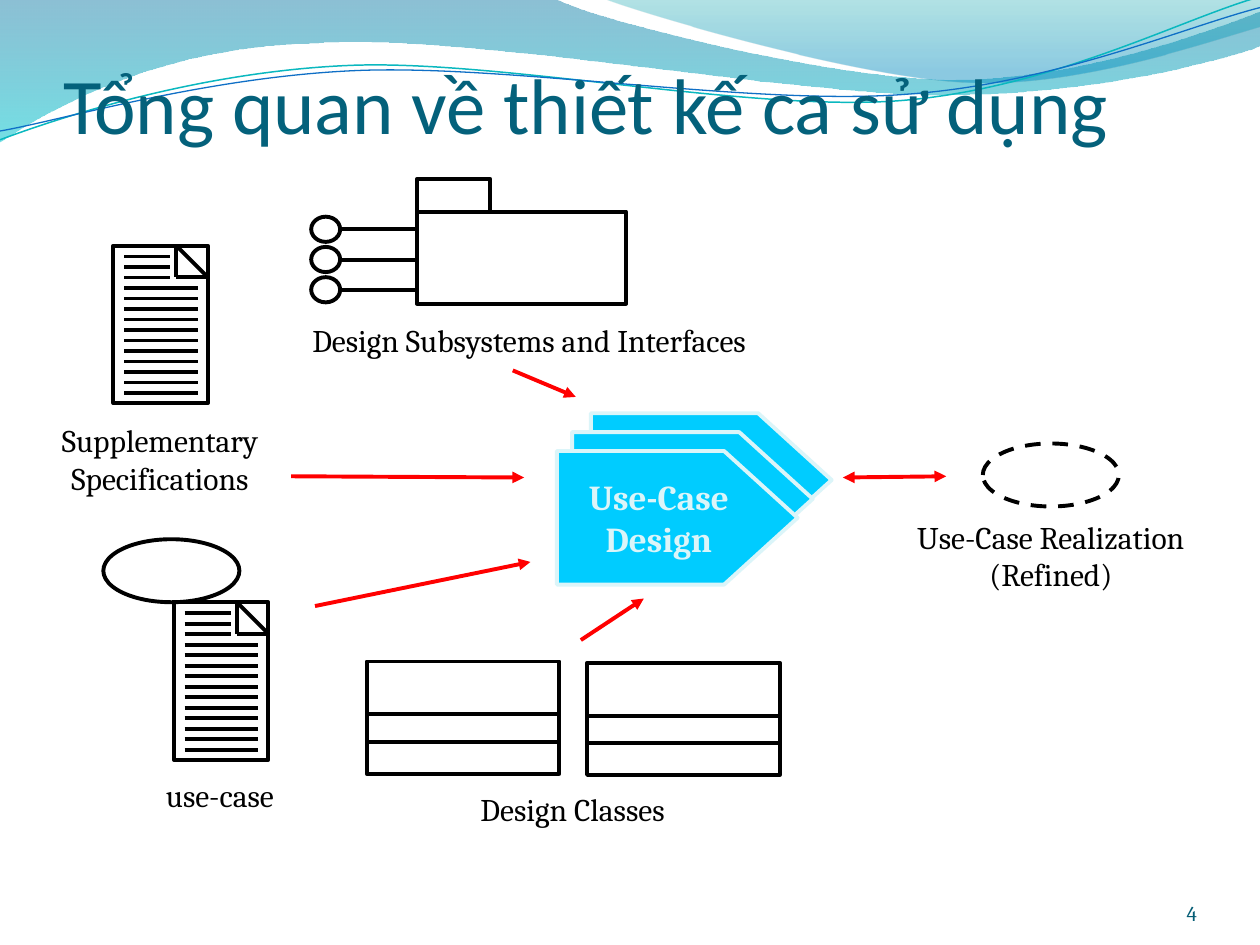
import math

import pptx
import pptx.dml.color
import pptx.enum.dml
import pptx.enum.shapes
import pptx.enum.text
import pptx.oxml
import pptx.oxml.ns
import pptx.util

PX = 9144
COLORS = {"ink": "000000", "title": "04617B", "number": "045D75", "arrow": "FF0000",
          "plate": "00CCFF", "pale": "DBF5F9", "teal": "0AB8BF", "blue": "0F6FC6",
          "deep": "0074A1", "aqua": "00C6CF", "sea": "00A1A9", "sky": "008BBF"}
SHAPE = pptx.enum.shapes.MSO_SHAPE
ALIGN = pptx.enum.text.PP_ALIGN
ANCHOR = pptx.enum.text.MSO_ANCHOR
QN = pptx.oxml.ns.qn
LABEL = {"name": "Cambria", "size": pptx.util.Pt(18)}
PLATE = {"name": "Cambria", "size": pptx.util.Pt(20), "bold": True}
NUMBER = {"name": "Cambria", "size": pptx.util.Pt(12)}
TITLE = {"name": "Calibri", "size": pptx.util.Pt(45), "bold": False}
TILT = 357.3

BANDS = [
    ((-1, -1, 1002, 114),
     [(0, 0), (440, -1), (476, 17, 664, 63, 758, 63), (853, 63, 958, 26, 1000, 9),
      (1001, 36), (983, 44, 870, 76, 746, 75), (622, 75, 382, 28, 257, 34),
      (129, 36, 46, 83, -1, 113), (0, 0)],
     [(0, "deep", 45), (1, "aqua", 55)]),
    ((479, -1, 521, 70),
     [(479, -1), (509, 11, 682, 62, 769, 65), (856, 69, 961, 32, 1000, 21), (1000, 0),
      (479, -1)],
     [(0, "sea", 30), (0.8, "sky", 45)]),
]
STRANDS = [
    ((-2, 22, 1002, 71),
     [(0, 111), (48, 93, 158, 57, 277, 52), (395, 47, 593, 89, 713, 80),
      (833, 71, 938, 15, 998, -2)], "teal", 0.85),
    ((-2, 30, 1003, 58),
     [(0, 104), (47, 96, 164, 61, 283, 56), (403, 51, 597, 84, 717, 75),
      (836, 67, 941, 21, 1000, 6)], "blue", 0.75),
]


def emu(*lengths):
    """Turn px lengths into EMU."""
    return [round(n * PX) for n in lengths]


def rgb(name):
    """Look up a named colour."""
    return pptx.dml.color.RGBColor.from_string(COLORS[name])


def set_line(shape, color="ink", width=2.25):
    """Give a shape or connector a plain outline."""
    shape.line.color.rgb = rgb(color)
    shape.line.width = pptx.util.Pt(width)


def to_local(x, y, box, rotation):
    """Return a slide point as EMU inside a rotated box."""
    left, top, width, height = box
    dx, dy = x - left - width / 2, y - top - height / 2
    a = math.radians(-rotation)
    return emu(dx * math.cos(a) - dy * math.sin(a) + width / 2,
               dx * math.sin(a) + dy * math.cos(a) + height / 2)


def add_wave(shapes, box, nodes, close, rotation=0):
    """Add an outline of straight (2 numbers) and cubic (6 numbers) segments."""
    builder = shapes.build_freeform(*emu(*nodes[0]), scale=1.0)
    builder.add_line_segments([emu(*node[-2:]) for node in nodes[1:]], close=close)
    sp = builder.convert_to_shape()
    sp.shadow.inherit = False
    sp.left, sp.top, sp.width, sp.height = emu(*box)
    sp.rotation = rotation
    outline = next(sp.element.iter(QN("a:path")))
    outline.set("w", str(sp.width))
    outline.set("h", str(sp.height))
    for step, node in zip(list(outline), nodes):
        if len(node) == 6:
            curve = outline.makeelement(QN("a:cubicBezTo"), {})
            outline.replace(step, curve)
            step = curve
        for pt in list(step):
            step.remove(pt)
        for i in range(0, len(node), 2):
            x, y = to_local(node[i], node[i + 1], box, rotation)
            step.append(step.makeelement(QN("a:pt"), {"x": str(x), "y": str(y)}))
    return sp


def add_band(shapes, box, nodes, stops):
    """Add a translucent gradient band."""
    sp = add_wave(shapes, box, nodes, True)
    sp.line.fill.background()
    sp.fill.gradient()
    sp.fill.gradient_angle = 270
    for stop, (position, color, opacity) in zip(sp.fill.gradient_stops, stops):
        stop.position = position
        stop.color.rgb = rgb(color)
    colors = list(sp.element.iter(QN("a:srgbClr")))
    for clr, (position, color, opacity) in zip(colors, stops):
        clr.append(clr.makeelement(QN("a:alpha"), {"val": str(opacity * 1000)}))


def add_strand(shapes, box, nodes, color, width):
    """Add a thin curved line."""
    sp = add_wave(shapes, box, nodes, False, TILT)
    sp.fill.background()
    set_line(sp, color, width)


def add_outline(shapes, kind, *box, fill=None, line="ink"):
    """Add an outlined preset shape."""
    sp = shapes.add_shape(kind, *emu(*box))
    sp.shadow.inherit = False
    set_line(sp, line)
    if fill:
        sp.fill.solid()
        sp.fill.fore_color.rgb = rgb(fill)
    else:
        sp.fill.background()
    return sp


def add_line(shapes, *ends, color="ink", arrows=()):
    """Add a straight line, with arrowheads at the named ends."""
    c = shapes.add_connector(pptx.enum.shapes.MSO_CONNECTOR.STRAIGHT, *emu(*ends))
    set_line(c, color)
    ln = next(c.element.iter(QN("a:ln")))
    for end in arrows:
        ln.append(ln.makeelement(QN(f"a:{end}"), {"type": "triangle"}))
    sp_pr = ln.getparent()
    sp_pr.append(sp_pr.makeelement(QN("a:effectLst"), {}))


def write(sp, lines, fmt, color, align=ALIGN.CENTER, anchor=ANCHOR.TOP, wrap=False):
    """Write one paragraph per line and format it."""
    tf = sp.text_frame
    tf.word_wrap = wrap
    tf.vertical_anchor = anchor
    for i, line in enumerate(lines):
        p = tf.add_paragraph() if i else tf.paragraphs[0]
        p.alignment = align
        r = p.add_run()
        r.text = line
        for key, value in fmt.items():
            setattr(r.font, key, value)
        r.font.color.rgb = rgb(color)


def set_margins(sp, **margins):
    """Set all four text margins in px, zero unless given."""
    for side in ("left", "top", "right", "bottom"):
        setattr(sp.text_frame, f"margin_{side}", margins.get(side, 0) * PX)


def add_label(shapes, box, *lines, wrap=False):
    """Add a centred caption."""
    sp = shapes.add_textbox(*emu(*box))
    write(sp, lines, LABEL, "ink", wrap=wrap)
    sp.text_frame.auto_size = pptx.enum.text.MSO_AUTO_SIZE.SHAPE_TO_FIT_TEXT


def add_document(shapes, x, y):
    """Add a page with a folded corner and lines of writing."""
    add_outline(shapes, SHAPE.RECTANGLE, x, y, 75, 125)
    for x1, y1, x2, y2 in ((50, 0, 75, 25), (50, 0, 50, 25), (75, 25, 50, 25)):
        add_line(shapes, x + x1, y + y1, x + x2, y + y2)
    for i in range(14):
        row = y + 8.6 + i * 25 / 3
        add_line(shapes, x + 8.5, row, x + (45 if i < 3 else 67), row)


def add_class(shapes, x, y):
    """Add a class box with three compartments."""
    add_outline(shapes, SHAPE.RECTANGLE, x, y, 153, 89)
    for dy in (64, 42):
        add_line(shapes, x, y + dy, x + 153, y + dy)


def add_subsystem(shapes):
    """Add a package with three interfaces."""
    add_outline(shapes, SHAPE.RECTANGLE, 331, 168, 166, 73)
    add_outline(shapes, SHAPE.RECTANGLE, 331, 142, 58, 26)
    for y in (196, 172, 220):
        add_outline(shapes, SHAPE.OVAL, 247, y, 23, 20)
        add_line(shapes, 270, y + 10, 331, y + 10)


def main():
    """Build the slide and save it."""
    prs = pptx.Presentation()
    prs.slide_width, prs.slide_height = emu(1000, 750)
    s = prs.slides.add_slide(prs.slide_layouts[5])
    shapes = s.shapes
    for band in BANDS:
        add_band(shapes, *band)
    strands = shapes.add_group_shape().shapes
    for strand in STRANDS:
        add_strand(strands, *strand)

    title = shapes.title
    title.left, title.top, title.width, title.height = emu(50, -6, 908, 125)
    set_margins(title, top=5)
    write(title, ["Tổng quan về thiết kế ca sử dụng"], TITLE, "title",
          ALIGN.LEFT, ANCHOR.BOTTOM, True)
    title.text_frame.auto_size = pptx.enum.text.MSO_AUTO_SIZE.NONE
    title.element.getparent().append(title.element)
    number = shapes.add_textbox(*emu(867, 695, 83, 40))
    set_margins(number)
    write(number, ["4"], NUMBER, "number", ALIGN.RIGHT, ANCHOR.BOTTOM, True)

    specs = shapes.add_group_shape().shapes
    add_document(specs, 90, 195)
    add_label(specs, (33, 329, 188, 70), "Supplementary", "Specifications")

    for x, y in ((469, 328), (454, 343), (442, 358)):
        plate = add_outline(shapes, SHAPE.PENTAGON, x, y, 191, 106, fill="plate", line="pale")
        plate.adjustments[0] = 0.55
    write(plate, ["Use-Case", "Design"], PLATE, "pale", anchor=ANCHOR.MIDDLE)

    realization = shapes.add_group_shape().shapes
    oval = add_outline(realization, SHAPE.OVAL, 780, 352, 108, 50)
    oval.line.dash_style = pptx.enum.dml.MSO_LINE.DASH
    add_label(realization, (703, 406, 262, 70), "Use-Case Realization", "(Refined)")
    add_line(shapes, 669, 379, 751, 378, color="arrow", arrows=("headEnd", "tailEnd"))

    add_subsystem(shapes.add_group_shape().shapes)
    add_label(shapes, (217, 250, 406, 40), "Design Subsystems and Interfaces")

    classes = shapes.add_group_shape().shapes
    add_class(classes, 291, 525)
    add_class(classes, 466, 526)
    add_label(classes, (338, 622, 233, 40), "Design Classes", wrap=True)

    for ends in ((250, 481, 421, 446), (231, 378, 416, 379),
                 (461, 508, 511, 475), (407, 294, 457, 315)):
        add_line(shapes, *ends, color="arrow", arrows=("tailEnd",))

    use_case = shapes.add_group_shape().shapes
    add_outline(use_case, SHAPE.OVAL, 82, 428, 108, 50)
    add_document(use_case, 138, 478)
    add_label(use_case, (74, 611, 201, 40), "use-case", wrap=True)
    prs.save("out.pptx")


if __name__ == "__main__":
    main()
